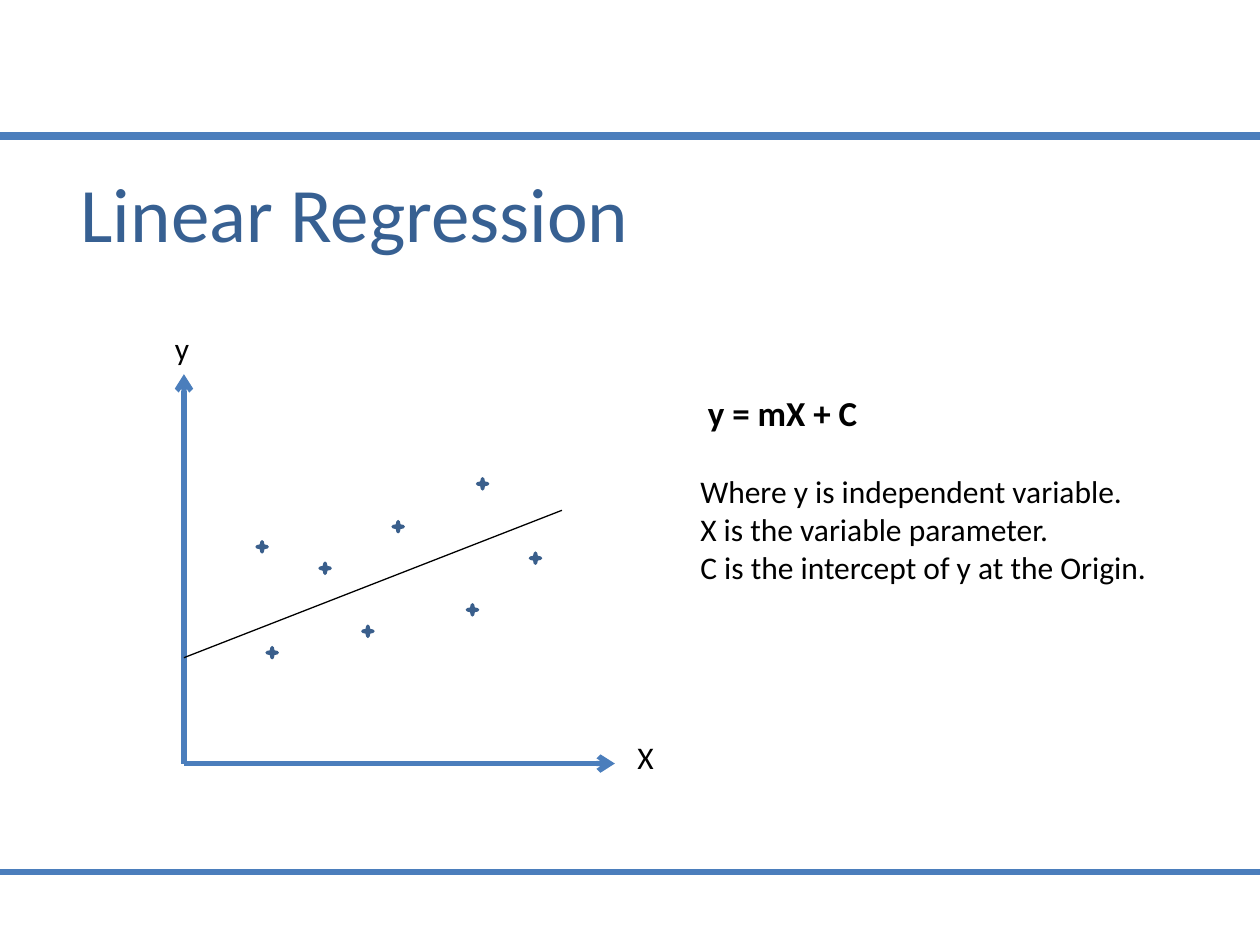
from lxml import etree
from pptx import Presentation
from pptx.dml.color import RGBColor
from pptx.enum.shapes import MSO_CONNECTOR as CONN, MSO_SHAPE as SHAPE
from pptx.enum.text import MSO_ANCHOR as ANCHOR, PP_ALIGN as ALIGN
from pptx.oxml.ns import qn
from pptx.util import Inches, Pt

COLORS = {"rule": "4B7EBC", "title": "376092", "text": "000000",
          "star": "4F81BD", "star_edge": "3A5F8C"}
FONT = "Calibri"
POINTS = [(0.58, 1.33), (0.66, 2.17), (1.08, 1.5), (1.66, 1.17),
          (1.42, 2.0), (2.33, 0.83), (2.25, 1.83), (2.75, 1.42)]
STAR = 0.08


def rgb(name):
    return RGBColor.from_string(COLORS[name])


def add_line(shapes, start, end, color, width, arrow=False):
    sp = shapes.add_connector(CONN.STRAIGHT, *map(Inches, start + end))
    sp.line.color.rgb = rgb(color)
    sp.line.width = Pt(width)
    if arrow:
        etree.SubElement(sp.line._get_or_add_ln(), qn("a:tailEnd"), type="arrow")
    etree.SubElement(sp._element.spPr, qn("a:effectLst"))


def add_run(p, text, color="text", **fmt):
    r = p.add_run()
    r.text = text
    r.font.color.rgb = rgb(color)
    for key, value in {"name": FONT, "size": Pt(18), "bold": False, **fmt}.items():
        setattr(r.font, key, value)


def add_box(slide, box):
    tf = slide.shapes.add_textbox(*map(Inches, box)).text_frame
    tf.word_wrap = True
    return tf


def add_frame(slide, width, top, bottom):
    add_line(slide.shapes, (0, top), (width, top), "rule", 4.5)
    add_line(slide.shapes, (0, bottom), (width, bottom), "rule", 3)


def add_title(slide, box, text):
    sp = slide.shapes.title
    for key, value in zip(("left", "top", "width", "height"), box):
        setattr(sp, key, Inches(value))
    tf = sp.text_frame
    tf.vertical_anchor = ANCHOR.MIDDLE
    p = tf.paragraphs[0]
    p.alignment = ALIGN.LEFT
    add_run(p, text, "title", size=Pt(44))


def add_plot(slide, box):
    x, y, w, h = box
    shapes = slide.shapes.add_group_shape().shapes
    origin = (x, y + h)
    add_line(shapes, origin, (x, y), "rule", 3, True)
    add_line(shapes, origin, (x + w, y + h), "rule", 3, True)
    for dx, dy in POINTS:
        sp = shapes.add_shape(SHAPE.STAR_4_POINT, Inches(x + dx), Inches(y + dy),
                              Inches(STAR), Inches(STAR))
        sp.shadow.inherit = False
        sp.fill.solid()
        sp.fill.fore_color.rgb = rgb("star")
        sp.line.color.rgb = rgb("star_edge")
        sp.line.width = Pt(2)
    add_line(shapes, (x, y + 2.25), (x + 3, y + 1.08), "text", 0.75)
    for text, left, top in (("y", x - 0.17, y - 0.41),
                            ("X", x + w + 0.08, y + h - 0.25)):
        add_run(add_box(slide, (left, top, 0.25, 0.4)).paragraphs[0], text)


def add_equation(slide, box, equation, notes):
    tf = add_box(slide, box)
    p = tf.paragraphs[0]
    p._p.get_or_add_pPr().set("marL", str(Inches(0.06)))
    add_run(p, equation, size=Pt(20), bold=True)
    for i, note in enumerate(notes):
        p = tf.add_paragraph()
        p.space_before = Pt(0 if i else 22)
        add_run(p, note)


prs = Presentation()
prs.slide_width, prs.slide_height = Inches(10), Inches(7.5)
slide = prs.slides.add_slide(prs.slide_layouts[5])
add_frame(slide, 10, 1.08, 6.92)
add_title(slide, (0.54, 1.22, 8.17, 0.92), "Linear Regression")
add_equation(slide, (5.46, 3.06, 4, 1.65), "y = mX + C",
             ["Where y is independent variable.",
              "X is the variable parameter.",
              "C is the intercept of y at the Origin."])
add_plot(slide, (1.46, 2.97, 3.42, 3.09))
prs.save("out.pptx")
